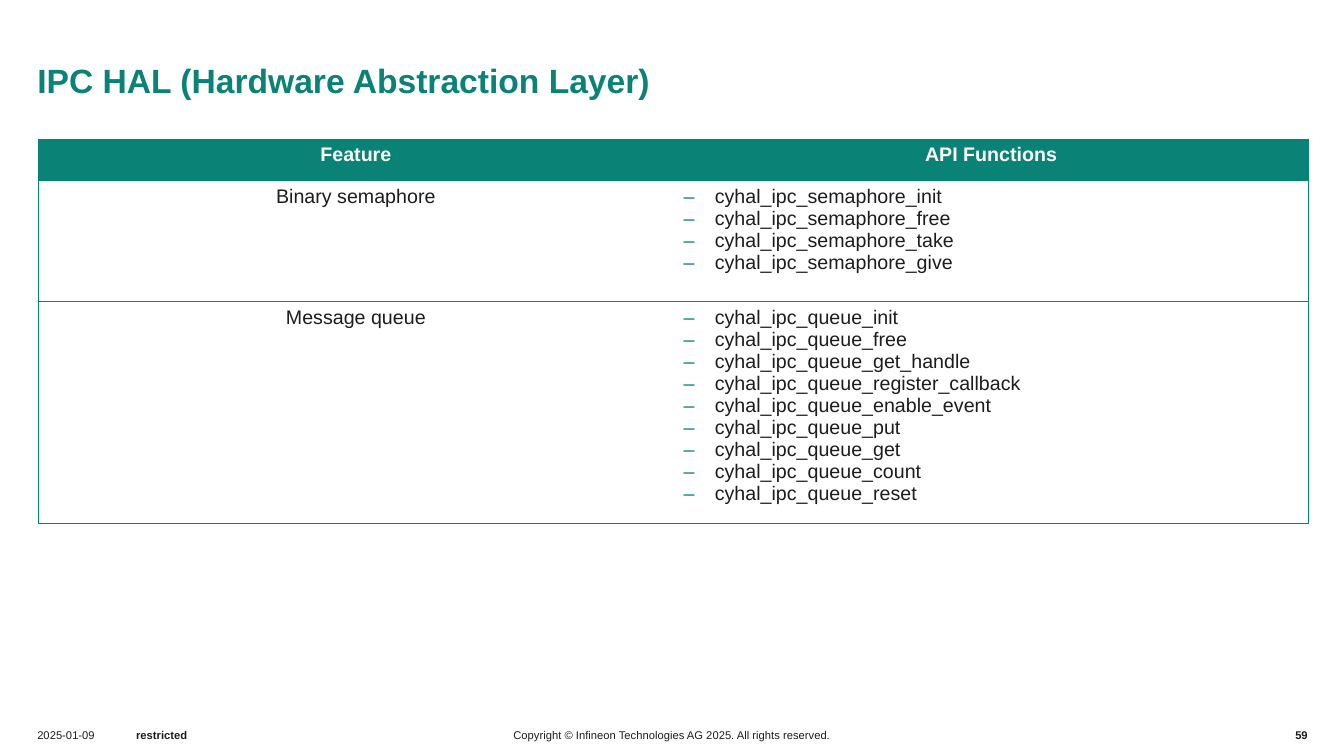
from lxml import etree
from pptx import Presentation
from pptx import util as u
from pptx.dml.color import RGBColor
from pptx.enum import text
from pptx.oxml import ns

TEAL, BORDER, INK, WHITE = "0A8276", "078276", "1D1D1D", "FFFFFF"
Align, Anchor = text.PP_ALIGN, text.MSO_ANCHOR


def color(value):
    return RGBColor.from_string(value)


def add_xml(parent, tag, **attributes):
    return etree.SubElement(parent, ns.qn(tag), attributes)


class SlideBuilder:
    """Holds the text style and the current slide."""

    font_name = "Arial"

    def __init__(self, page):
        self.page = page

    def add_words(self, para, words, size, ink=INK, bold=False, align=Align.LEFT):
        para.alignment = align
        span = para.add_run()
        span.text = words
        formats = {"name": self.font_name, "size": u.Pt(size), "bold": bold}
        for name, value in formats.items():
            setattr(span.font, name, value)
        span.font.color.rgb = color(ink)

    def label(self, area, words, size, anchor=Anchor.MIDDLE, wrap=False, **style):
        box = self.page.shapes.add_textbox(*map(u.Inches, area))
        frame = box.text_frame
        formats = {"margin_left": 0, "margin_right": 0, "margin_top": 0,
                   "margin_bottom": 0, "word_wrap": wrap, "vertical_anchor": anchor}
        for name, value in formats.items():
            setattr(frame, name, value)
        self.add_words(frame.paragraphs[0], words, size, **style)

    def bullet(self, para):
        props = para._p.get_or_add_pPr()
        indent = u.Inches(0.31)
        props.set("marL", str(indent))
        props.set("indent", str(-indent))
        add_xml(add_xml(props, "a:buClr"), "a:srgbClr", val=TEAL)
        add_xml(props, "a:buFont", typeface=self.font_name)
        add_xml(props, "a:buChar", char="‒")

    def borders(self, cell, sides):
        props = cell._tc.get_or_add_tcPr()
        for side in "LRTB":
            line = add_xml(props, f"a:ln{side}", w=str(u.Pt(0.75)))
            if side in sides:
                add_xml(add_xml(line, "a:solidFill"), "a:srgbClr", val=BORDER)
            else:
                add_xml(line, "a:noFill")

    def table(self, left, top, width, heights, rows, size=14):
        columns = len(rows[0])
        area = map(u.Inches, (left, top, width, sum(heights)))
        grid = self.page.shapes.add_table(len(rows), columns, *area).table
        for row, (height, entries) in enumerate(zip(heights, rows)):
            grid.rows[row].height = u.Inches(height)
            header = row == 0
            for column, lines in enumerate(entries):
                cell = grid.cell(row, column)
                # Only the outer edges and the row dividers are ruled
                self.borders(cell, "TB" + ("L" if column == 0 else "R"))
                cell.fill.solid()
                cell.fill.fore_color.rgb = color(TEAL if header else WHITE)
                frame = cell.text_frame
                listed = column > 0 and not header
                for index, words in enumerate(lines):
                    para = frame.add_paragraph() if index else frame.paragraphs[0]
                    if listed:
                        self.bullet(para)
                    self.add_words(para, words, size, WHITE if header else INK, header,
                                   Align.LEFT if listed else Align.CENTER)


def main():
    deck = Presentation()
    deck.slide_width, deck.slide_height = u.Inches(13.33), u.Inches(7.5)
    builder = SlideBuilder(deck.slides.add_slide(deck.slide_layouts[6]))

    # Title
    builder.label((0.37, 0.21, 10.51, 0.78), "IPC HAL (Hardware Abstraction Layer)", 24,
                  anchor=Anchor.BOTTOM, wrap=True, ink=TEAL, bold=True)

    # Features and their functions
    semaphore = [f"cyhal_ipc_semaphore_{action}"
                 for action in ("init", "free", "take", "give")]
    queue = [f"cyhal_ipc_queue_{action}"
             for action in ("init", "free", "get_handle", "register_callback",
                            "enable_event", "put", "get", "count", "reset")]
    builder.table(0.38, 1.38, 12.6, (0.41, 1.2, 2.06), [
        (["Feature"], ["API Functions"]),
        (["Binary semaphore"], semaphore),
        (["Message queue"], queue),
    ])

    # Footer
    footer = [
        (0.37, 0.67, "2025-01-09", False, Align.LEFT),
        (1.35, 1.06, "restricted", True, Align.LEFT),
        (4.97, 3.39, "Copyright © Infineon Technologies AG 2025. All rights reserved.",
         False, Align.CENTER),
        (12.55, 0.42, "59", True, Align.RIGHT),
    ]
    for left, width, words, bold, align in footer:
        builder.label((left, 7.1, width, 0.39), words, 8, wrap=align == Align.RIGHT,
                      bold=bold, align=align)

    deck.save("out.pptx")


if __name__ == "__main__":
    main()
